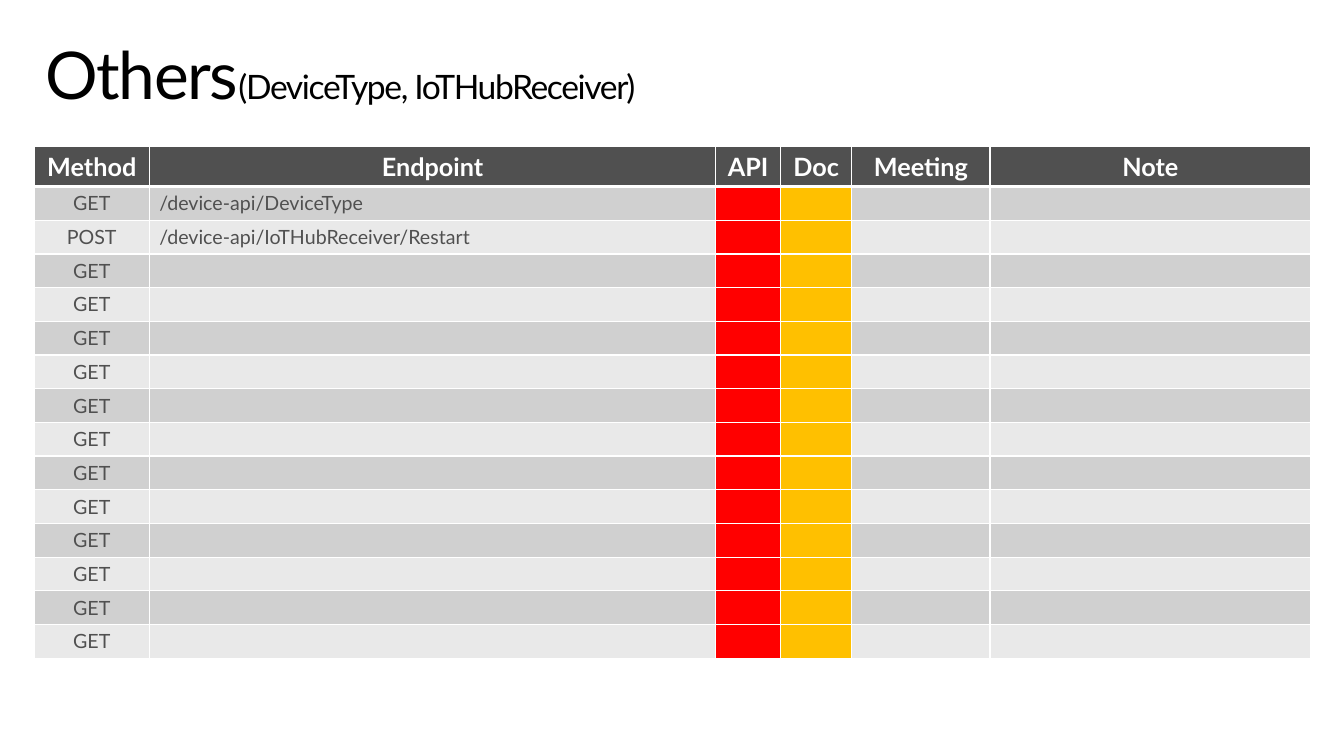
from lxml.etree import SubElement
from pptx import Presentation
from pptx.dml.color import RGBColor
from pptx.enum.text import MSO_ANCHOR, MSO_AUTO_SIZE, PP_ALIGN
from pptx.oxml.ns import qn
from pptx.util import Inches, Pt

FONT = "Lato"
DARK, WHITE, BLACK = "505050", "FFFFFF", "000000"
BANDS = ("D0D0D0", "E9E9E9")
MARKS = {"API": "FF0000", "Doc": "FFC000"}
COLS = {"Method": 1.14, "Endpoint": 5.62, "API": 0.64,
        "Doc": 0.71, "Meeting": 1.37, "Note": 3.18}
CALLS = [("GET", "/device-api/DeviceType"),
         ("POST", "/device-api/IoTHubReceiver/Restart")] + [("GET", "")] * 12
HEAD = 0.38


def color(code):
    return RGBColor.from_string(code)


def write(para, text, size, ink=DARK, bold=False, align=None, track=None):
    """Add a formatted run; without text, only set the empty line's height."""
    para.alignment = align
    if not text:
        end = para._p.get_or_add_endParaRPr()
        end.set("sz", str(size * 100))
        SubElement(end, qn("a:latin"), typeface=FONT)
        return
    run = para.add_run()
    run.text = text
    font = run.font
    font.name, font.size, font.bold = FONT, Pt(size), bold
    font.color.rgb = color(ink)
    if track:
        run._r.get_or_add_rPr().set("spc", str(track * 100))


def paint(cell, fill, base=1):
    """Draw white borders, the lower one base points wide, and fill the cell."""
    props = cell._tc.get_or_add_tcPr()
    for side, width in (("L", 1), ("R", 1), ("T", 1), ("B", base)):
        line = SubElement(props, qn(f"a:ln{side}"), w=str(Pt(width)))
        solid = SubElement(line, qn("a:solidFill"))
        SubElement(solid, qn("a:srgbClr"), val=WHITE)
    cell.fill.solid()
    cell.fill.fore_color.rgb = color(fill)


def add_title(slide, left, top, width, height):
    title = slide.shapes.title
    title.left, title.top = Inches(left), Inches(top)
    title.width, title.height = Inches(width), Inches(height)
    frame = title.text_frame
    frame.margin_left = frame.margin_right = Inches(0.16)
    frame.margin_top = frame.margin_bottom = Inches(0.1)
    frame.vertical_anchor = MSO_ANCHOR.TOP
    frame.auto_size = MSO_AUTO_SIZE.NONE
    frame.word_wrap = True
    para = frame.paragraphs[0]
    para.line_spacing = 0.9
    for text, size in (("Others", 47), ("(DeviceType, IoTHubReceiver)", 24)):
        write(para, text, size, ink=BLACK, align=PP_ALIGN.LEFT, track=-1)


def add_calls(slide, left, top, width, height):
    table = slide.shapes.add_table(
        len(CALLS) + 1, len(COLS), Inches(left), Inches(top),
        Inches(width), Inches(height)).table
    table.rows[0].height = Inches(HEAD)
    for row in list(table.rows)[1:]:
        row.height = Inches((height - HEAD) / len(CALLS))
    for col, (name, size) in enumerate(COLS.items()):
        table.columns[col].width = Inches(size)
        cell = table.cell(0, col)
        paint(cell, DARK, base=3)
        write(cell.text_frame.paragraphs[0], name, 18, ink=WHITE,
              bold=True, align=PP_ALIGN.CENTER)
        for row, call in enumerate(CALLS, 1):
            cell = table.cell(row, col)
            paint(cell, MARKS.get(name, BANDS[(row - 1) % 2]))
            text = call[col] if col < len(call) else ""
            align = PP_ALIGN.CENTER if name == "Method" else None
            write(cell.text_frame.paragraphs[0], text, 14, align=align)


def main():
    deck = Presentation()
    deck.slide_width, deck.slide_height = Inches(13.33), Inches(7.5)
    slide = deck.slides.add_slide(deck.slide_layouts[5])
    add_calls(slide, 0.34, 1.45, 12.66, 5.06)
    add_title(slide, 0.29, 0.32, 12.75, 0.98)
    deck.save("out.pptx")


if __name__ == "__main__":
    main()
